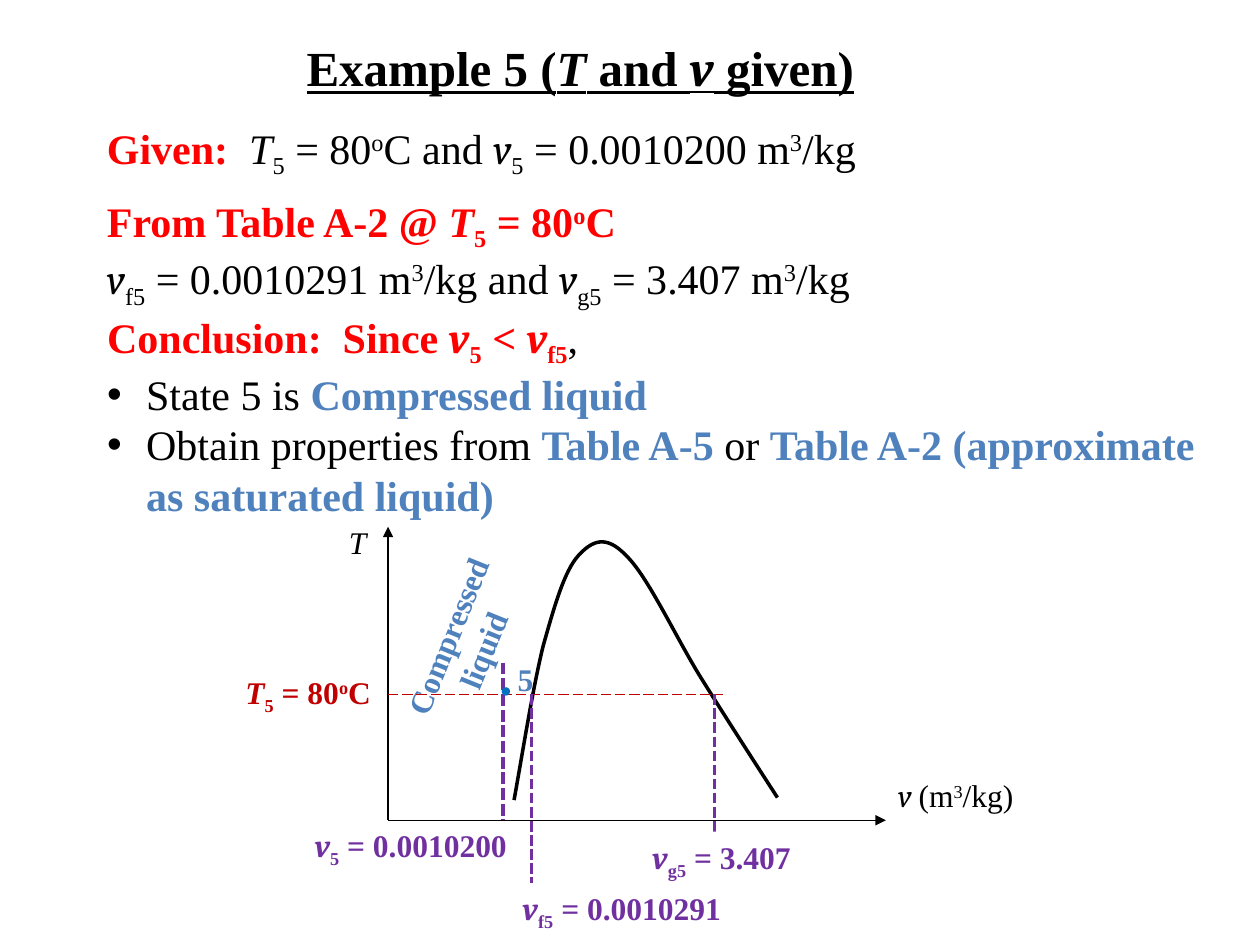
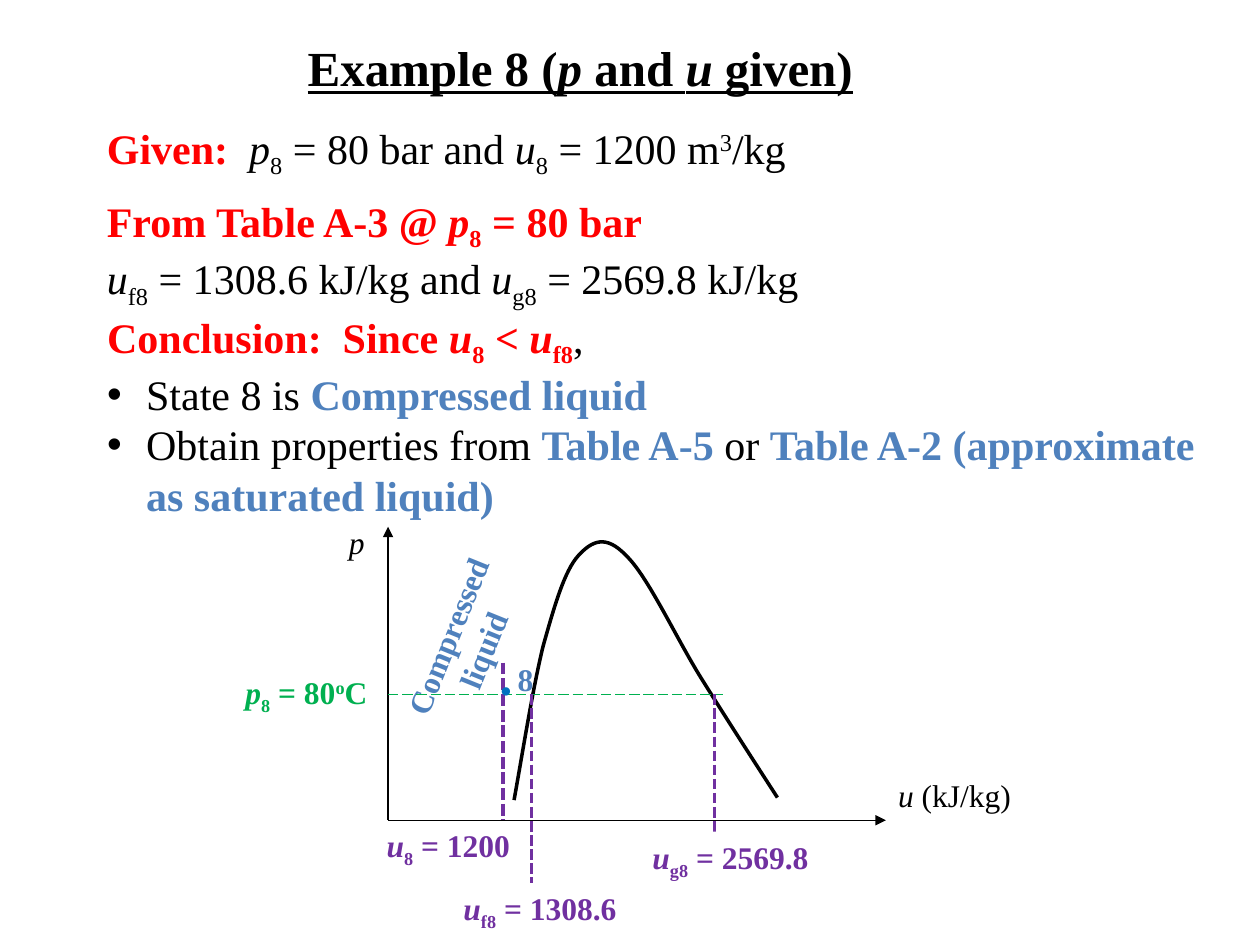
from pptx import Presentation
from pptx.dml.color import RGBColor
from pptx.enum.dml import MSO_LINE
from pptx.enum.shapes import MSO_CONNECTOR
from pptx.enum.text import MSO_ANCHOR, MSO_AUTO_SIZE, PP_ALIGN
from pptx.oxml.ns import qn
from pptx.util import Inches, Pt
from lxml.etree import SubElement

BLACK, WHITE, RED, BLUE, PURPLE = "000000", "FFFFFF", "FF0000", "4F81BD", "7030A0"
DOT = "0070C0"
rgb = RGBColor.from_string


def write(p, size, *pieces):
    """Add runs. Pieces are (markup, colour, bold); ~ parts runs, which
    start with * for italic, _ for subscript or ^ for superscript."""
    for markup, colour, bold in pieces:
        for part in markup.split("~"):
            mark = part[0] if part[0] in "*_^" else ""
            r = p.add_run()
            r.text = part[len(mark):]
            f = r.font
            f.name = "Cambria" if r.text.strip() == "v" else "Times New Roman"
            f.size, f.bold, f.italic = Pt(size), bold, mark == "*"
            f.color.rgb = rgb(colour)
            if mark in ("_", "^"):
                f._element.set("baseline", "-25000" if mark == "_" else "30000")


def add_text(s, box, size, *lines, fill=None, align=PP_ALIGN.LEFT):
    """Add a text box; each line is a list of pieces."""
    sp = s.shapes.add_textbox(*map(Inches, box))
    if fill:
        sp.fill.solid()
        sp.fill.fore_color.rgb = rgb(fill)
    tf = sp.text_frame
    tf.word_wrap = False
    tf.auto_size = MSO_AUTO_SIZE.SHAPE_TO_FIT_TEXT
    for i, pieces in enumerate(lines):
        p = tf.add_paragraph() if i else tf.paragraphs[0]
        p.alignment = align
        write(p, size, *pieces)
    return sp


# Axes origin, level of the state, and the saturation dome (start, then Bezier points)
LEFT, BOTTOM, LEVEL = 3.08, 6.51, 5.51
DOME = [(4.08, 6.35),
        (4.16, 5.9), (4.23, 5.46), (4.31, 5.13),
        (4.4, 4.81), (4.48, 4.53), (4.59, 4.41),
        (4.7, 4.29), (4.81, 4.24), (4.97, 4.41),
        (5.14, 4.57), (5.37, 5.07), (5.57, 5.39),
        (5.77, 5.71), (5.97, 6.02), (6.17, 6.33)]

# y and x are the axis variables; boxes are (left, width) of the value labels
examples = [
    dict(n="5", y="T", x="v", table="A-2", y_value="80~^o~C", level=("C00000"),
         given="0.0010200 m~^3~/kg", f="0.0010291 m~^3~/kg", g="3.407 m~^3~/kg",
         unit="(m~^3~/kg)", values=("0.0010200", "0.0010291", "3.407"),
         boxes=((2.4, 1.77), (4.05, 1.81), (5.08, 1.35)), widths=(6.32, 6.28)),
    dict(n="8", y="p", x="u", table="A-3", y_value="80 bar", level="00B050",
         given="1200 m~^3~/kg", f="1308.6 kJ/kg", g="2569.8 kJ/kg",
         unit="(kJ/kg)", values=("1200", "1308.6", "2569.8"),
         boxes=((2.97, 1.2), (3.58, 1.45), (5.08, 1.47)), widths=(5.68, 5.87)),
]

prs = Presentation()
prs.slide_width, prs.slide_height = Inches(10), Inches(7.5)

for ex in examples:
    s = prs.slides.add_slide(prs.slide_layouts[1])
    n, x, y = ex["n"], ex["x"], ex["y"]
    title, body = s.placeholders[0], s.placeholders[1]

    # Title
    title.left, title.top, title.width, title.height = map(Inches, (2.29, 0.25, 4.63, 0.57))
    tf = title.text_frame
    tf.word_wrap, tf.auto_size = False, MSO_AUTO_SIZE.NONE
    tf.vertical_anchor = MSO_ANCHOR.TOP
    p = tf.paragraphs[0]
    p.alignment = PP_ALIGN.CENTER
    write(p, 28, (f"Example {n} (~*{y}~ and ~*{x}~ given)", BLACK, True))
    for r in p.runs:
        r.font.underline = True

    # Given values and table values
    add_text(s, (0.75, 0.92, ex["widths"][0], 0.91), 24,
             [("Given:  ", RED, True),
              (f"*{y}~_{n}~ = {ex['y_value']} and ~*{x}~_{n}~ = {ex['given']}", BLACK, False)])
    add_text(s, (0.75, 1.5, ex["widths"][1], 0.91), 24,
             [(f"From Table {ex['table']} @ ~*{y}~_{n}~ = {ex['y_value']}", RED, True)],
             [(f"*{x}~_f{n}~ = {ex['f']} and ~*{x}~_g{n}~ = {ex['g']}", BLACK, False)])

    # Conclusion
    body.left, body.top, body.width, body.height = map(Inches, (0.75, 2.42, 9, 1.72))
    tf = body.text_frame
    tf.auto_size = MSO_AUTO_SIZE.NONE
    conclusion = [
        [(f"Conclusion:  Since ~*{x}~_{n}~ < ~*{x}~_f{n}", RED, True), (", ", BLACK, False)],
        [(f"State {n} is ", BLACK, False), ("Compressed liquid", BLUE, True)],
        [("Obtain properties from ", BLACK, False), ("Table A-5 ", BLUE, True),
         ("or ", BLACK, False), ("Table A-2 (approximate as saturated liquid)", BLUE, True)],
    ]
    for i, pieces in enumerate(conclusion):
        p = tf.add_paragraph() if i else tf.paragraphs[0]
        p.space_before = Pt(0)
        write(p, 24, *pieces)
        pPr = p._p.get_or_add_pPr()
        indent = Inches(0.31) if i else 0
        pPr.set("marL", str(indent))
        pPr.set("indent", str(-indent))
        if i:
            SubElement(pPr, qn("a:buChar")).set("char", "•")
        else:
            SubElement(pPr, qn("a:buNone"))

    # Region name
    region = add_text(s, (2.93, 4.75, 1.53, 0.71), 18, [("Compressed", BLUE, True)],
                      [("liquid", BLUE, True)], align=PP_ALIGN.CENTER)
    region.rotation = 292

    # Saturation dome: straight segments regrouped into curves
    fb = s.shapes.build_freeform(*map(Inches, DOME[0]))
    fb.add_line_segments([(Inches(a), Inches(b)) for a, b in DOME[1:]], close=False)
    dome = fb.convert_to_shape()
    dome.shadow.inherit = False
    dome.fill.background()
    dome.line.color.rgb, dome.line.width = rgb(BLACK), Pt(2)
    outline = dome._element.spPr.find(".//" + qn("a:path"))
    segments = outline.findall(qn("a:lnTo"))
    for i in range(0, len(segments), 3):
        curve = SubElement(outline, qn("a:cubicBezTo"))
        for segment in segments[i:i + 3]:
            curve.append(segment[0])
            outline.remove(segment)

    # Axes (solid, with arrowhead), level line and drop lines
    for x1, y1, x2, y2, colour, width, dash in (
            (LEFT, BOTTOM, LEFT, 4.18, BLACK, 0.75, None),
            (LEFT, BOTTOM, 7.03, BOTTOM, BLACK, 0.75, None),
            (LEFT, LEVEL, 5.74, LEVEL, ex["level"], 0.75, MSO_LINE.LONG_DASH),
            (4.22, LEVEL, 4.22, 7.33, PURPLE, 2, MSO_LINE.SQUARE_DOT),
            (5.67, LEVEL, 5.67, 7, PURPLE, 2, MSO_LINE.SQUARE_DOT),
            (3.99, 5.26, 3.99, BOTTOM, PURPLE, 2.25, MSO_LINE.SQUARE_DOT)):
        c = s.shapes.add_connector(MSO_CONNECTOR.STRAIGHT, *map(Inches, (x1, y1, x2, y2)))
        c.line.color.rgb, c.line.width = rgb(colour), Pt(width)
        if dash:
            c.line.dash_style = dash
        else:
            SubElement(c.line._get_or_add_ln(), qn("a:tailEnd")).set("type", "triangle")
        SubElement(c._element.spPr, qn("a:effectLst"))

    # Axis and level labels
    add_text(s, (2.67, 4.1, 0.34, 0.4), 18, [(f"*{y}", BLACK, False)])
    add_text(s, (7.03, 6.11, 1.16, 0.4), 18, [(f"*{x} ~{ex['unit']}", BLACK, False)])
    add_text(s, (1.85, 5.29, 1.23, 0.4), 18, [(f"*{y}~_{n}~ = 80~^o~C", ex["level"], True)])

    # Value labels below the drop lines
    for phase, top, fill, value, (left, width) in zip(
            ("", "f", "g"), (6.51, 7.01, 6.6), (None, WHITE, WHITE), ex["values"], ex["boxes"]):
        add_text(s, (left, top, width, 0.4), 18,
                 [(f"*{x}~_{phase}{n}~ = {value}", PURPLE, True)], fill=fill)

    # State point
    add_text(s, (3.87, 5.26, 0.3, 0.44), 20, [("•", DOT, False)])
    add_text(s, (4.01, 5.19, 0.33, 0.4), 18, [(n, BLUE, True)])

prs.save("out.pptx")
